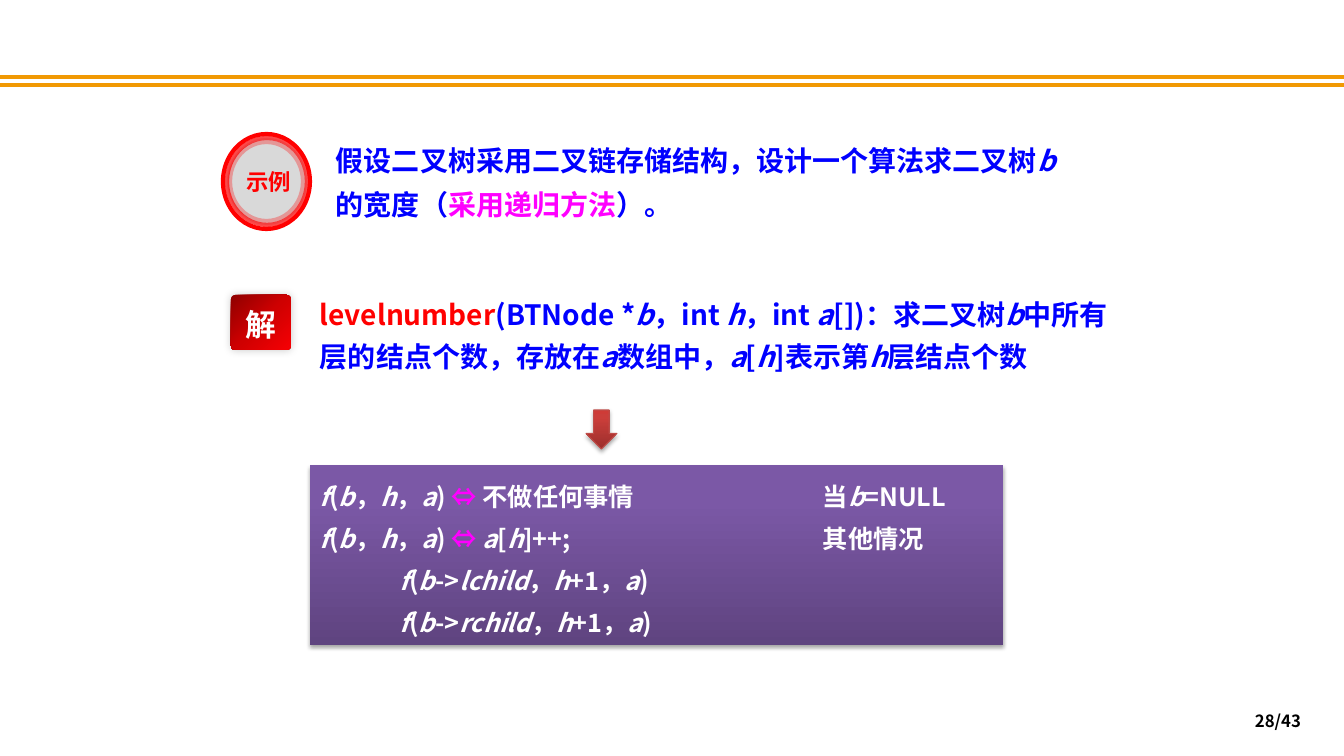
from dataclasses import dataclass
from typing import Optional

from lxml import etree
from pptx import Presentation
from pptx import util as u
from pptx.dml.color import RGBColor
from pptx.enum import shapes, text
from pptx.oxml import parse_xml
from pptx.oxml.ns import nsdecls, qn

SCALE = 914400 / 100.8  # EMU in one px
FACE = "Noto Sans CJK SC"
BLUE = RGBColor(0x00, 0x00, 0xFF)
RED = RGBColor(0xFF, 0x00, 0x00)
PINK = RGBColor(0xFF, 0x00, 0xFF)
WHITE = RGBColor(0xFF, 0xFF, 0xFF)
BLACK = RGBColor(0x00, 0x00, 0x00)
GOLD = RGBColor(0xF1, 0x99, 0x03)
PALE = RGBColor(0xF8, 0xF8, 0xF8)
GREY = RGBColor(0xD9, 0xD9, 0xD9)
BRICK = RGBColor(0xBF, 0x4C, 0x48)
KIND = shapes.MSO_SHAPE
LEFT, MID, RIGHT = (text.PP_ALIGN.LEFT, text.PP_ALIGN.CENTER,
                    text.PP_ALIGN.RIGHT)


@dataclass
class Box:
    x: int
    y: int
    w: int
    h: int


@dataclass
class Line:
    """Runs are (colour, words); underscores switch italics on and off."""
    runs: list
    indent: int = 0
    tab: int = 0


@dataclass
class Style:
    size: int
    gap: object  # line spacing: points or a multiple
    align: object = LEFT
    middle: bool = False
    wrap: bool = True


@dataclass
class Grad:
    stops: list
    angle: int


@dataclass
class Shade:
    alpha: int
    blur: float
    dist: float
    angle: int


@dataclass
class Ring:
    box: Box
    fill: Optional[RGBColor]
    alpha: int


DROP = Shade(35, 3.1, 1.8, 90)


def px(n: int) -> int:
    return round(n * SCALE)


def place(box: Box) -> tuple:
    return px(box.x), px(box.y), px(box.w), px(box.h)


def write(shape, lines: list, style: Style) -> None:
    frame = shape.text_frame
    frame.word_wrap = style.wrap
    anchor = text.MSO_ANCHOR
    frame.vertical_anchor = anchor.MIDDLE if style.middle else anchor.TOP
    for i, line in enumerate(lines):
        par = frame.add_paragraph() if i else frame.paragraphs[0]
        par.alignment = style.align
        par.line_spacing = style.gap
        prop = par._p.get_or_add_pPr()
        if line.indent:
            prop.set("marL", str(px(line.indent)))
        if line.tab:
            tabs = etree.SubElement(prop, qn("a:tabLst"))
            etree.SubElement(tabs, qn("a:tab"), pos=str(px(line.tab)), algn="l")
        for color, words in line.runs:
            for k, part in enumerate(words.split("_")):
                if part:
                    run = par.add_run()
                    run.text = part
                    font = run.font
                    font.size, font.bold = u.Pt(style.size), True
                    font.italic = k % 2 == 1
                    font.color.rgb = color
                    font.name = FACE
                    etree.SubElement(run._r.rPr, qn("a:ea"), typeface=FACE)


def label(slide, box: Box, lines: list, style: Style) -> None:
    write(slide.shapes.add_textbox(*place(box)), lines, style)


def draw(slide, kind, box: Box, fill=None, line=None, width: float = 3,
         alpha: int = 100, shade: Optional[Shade] = None):
    shape = slide.shapes.add_shape(kind, *place(box))
    prop = shape._element.spPr
    shape.shadow.inherit = False
    shape.fill.background()
    if isinstance(fill, Grad):
        stops = "".join(f'<a:gs pos="{at * 1000}"><a:srgbClr val="{color}"/></a:gs>'
                        for at, color in fill.stops)
        prop.replace(prop.find(qn("a:noFill")), parse_xml(
            f'<a:gradFill {nsdecls("a")} rotWithShape="1"><a:gsLst>{stops}</a:gsLst>'
            f'<a:lin ang="{fill.angle * 60000}" scaled="0"/></a:gradFill>'))
    elif fill is not None:
        shape.fill.solid()
        shape.fill.fore_color.rgb = fill
    if line is None:
        shape.line.fill.background()
    else:
        shape.line.color.rgb = line
        shape.line.width = u.Pt(width)
        if alpha < 100:
            tint = prop.find(qn("a:ln")).find(".//" + qn("a:srgbClr"))
            etree.SubElement(tint, qn("a:alpha"), val=str(alpha * 1000))
    if shade:
        prop.find(qn("a:effectLst")).append(parse_xml(
            f'<a:outerShdw {nsdecls("a")} blurRad="{u.Pt(shade.blur)}" '
            f'dist="{u.Pt(shade.dist)}" dir="{shade.angle * 60000}" rotWithShape="0">'
            f'<a:srgbClr val="000000"><a:alpha val="{shade.alpha * 1000}"/>'
            f'</a:srgbClr></a:outerShdw>'))
    return shape


def rule(slide, y: int) -> None:
    bar = slide.shapes.add_connector(shapes.MSO_CONNECTOR.STRAIGHT,
                                     0, px(y), px(1344), px(y))
    bar.line.color.rgb = GOLD
    bar.line.width = u.Pt(3)
    etree.SubElement(bar._element.spPr, qn("a:effectLst"))


def main() -> None:
    deck = Presentation()
    deck.slide_width, deck.slide_height = px(1344), px(756)
    slide = deck.slides.add_slide(deck.slide_layouts[6])

    # Double rule at the top
    for y in (77, 85):
        rule(slide, y)

    # Meaning of the function
    label(slide, Box(310, 284, 820, 95), [Line([
        (RED, "levelnumber"),
        (BLUE, "(BTNode *_b_，int _h_，int _a_[])：求二叉树_b_中所有层的结点个数，"
               "存放在_a_数组中，_a_[_h_]表示第_h_层结点个数")])],
        Style(20, u.Pt(30)))

    # Recursive model
    model = draw(slide, KIND.RECTANGLE, Box(310, 465, 693, 180),
                 Grad([(0, "5F4480"), (80, "7B58A6"), (100, "7C57A8")], 270),
                 shade=DROP)
    cases = [("不做任何事情", "当_b_=NULL"), ("_a_[_h_]++;", "其他情况")]
    lines = [Line([(WHITE, "_f_(_b_，_h_，_a_) "), (PINK, "⇔ "),
                   (WHITE, f"{act}\t{when}")], tab=503) for act, when in cases]
    lines += [Line([(WHITE, f"_f_(_b_->_{child}_，_h_+1，_a_)")], indent=80)
              for child in ("lchild", "rchild")]
    write(model, lines, Style(18, u.Pt(30)))

    # Arrow down to the model
    draw(slide, KIND.DOWN_ARROW, Box(586, 410, 31, 39),
         Grad([(0, "9C2F2D"), (80, "CB3E3A"), (100, "CE3B37")], 270),
         BRICK, 0.75, shade=DROP)

    # Example statement and its badge
    label(slide, Box(326, 127, 748, 101), [Line([
        (BLUE, "假设二叉树采用二叉链存储结构，设计一个算法求二叉树_b_的宽度（"),
        (PINK, "采用递归方法"), (BLUE, "）。")])], Style(20, u.Pt(32)))
    for ring in (Ring(Box(223, 134, 87, 95), PALE, 100),
                 Ring(Box(227, 138, 80, 87), GREY, 70),
                 Ring(Box(230, 142, 73, 79), None, 30)):
        draw(slide, KIND.OVAL, ring.box, ring.fill, RED, alpha=ring.alpha)
    label(slide, Box(232, 161, 74, 40), [Line([(RED, "示例")])],
          Style(16, 1.1, MID))

    # Solution badge
    badge = draw(slide, KIND.ROUNDED_RECTANGLE, Box(231, 295, 60, 55),
                 Grad([(0, "8F0000"), (50, "CF0001"), (100, "F60004")], 45),
                 shade=Shade(20, 6, 0, 225))
    badge.adjustments[0] = 0.08
    write(badge, [Line([(WHITE, "解")])], Style(22, 1.1, MID, True, False))

    # Page number
    label(slide, Box(998, 701, 313, 40), [Line([(BLACK, "28/43")])],
          Style(12, 1.0, RIGHT, True))

    deck.save("out.pptx")


if __name__ == "__main__":
    main()
